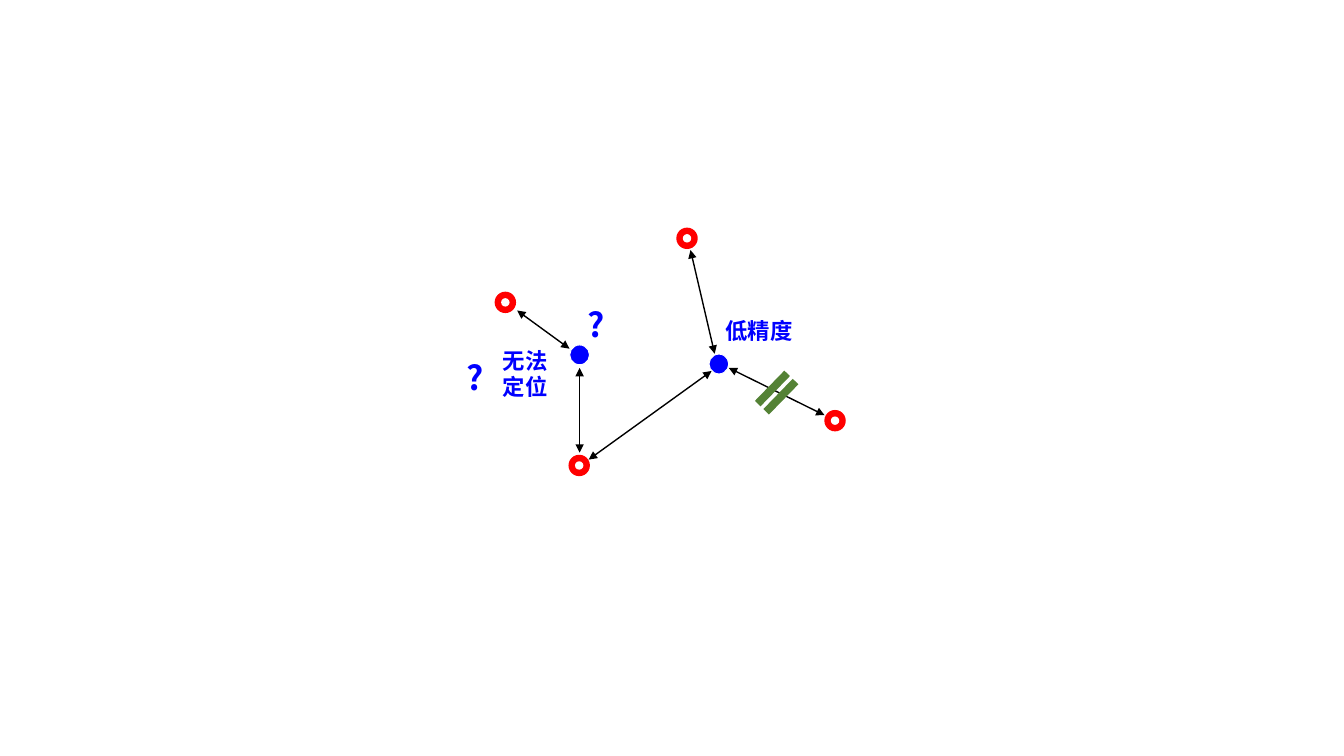
import pptx
import pptx.util
import pptx.dml.color
import pptx.enum.shapes
import pptx.enum.text
import pptx.oxml
import pptx.oxml.ns

Pt = pptx.util.Pt
SHAPE = pptx.enum.shapes.MSO_SHAPE
FONT = "Noto Sans CJK SC"
COLORS = {
    "anchor": "FF0000",
    "hole": "FFFFFF",
    "target": "0000FF",
    "target_line": "FFFFFF",
    "link": "000000",
    "block": "548235",
    "label": "0000FF",
}

# Positions in points, relative to the top left of the diagram
ANCHORS = [(272.5, 156.5), (37, 72), (89.75, 188.5), (166.75, 26.25)]
TARGETS = [(90, 109.5), (189.5, 116)]
LINKS = [
    ((184.3, 121), (96.5, 184.3)),
    ((265, 152.6), (196.6, 118.8)),
    ((169.2, 34.6), (186.5, 108.7)),
    ((45.4, 77.8), (82.8, 105.1)),
    ((90, 118.8), (90, 179.3)),
]
LABELS = [
    ("?", 24, (2.2, 107.3, 26.6, 36.7)),
    ("?", 24, (88.6, 69.8, 26.6, 36.7)),
    ("低精度", 16, (187.2, 79.2, 63.4, 26.6)),
    ("无法\n定位", 16, (28.1, 100.1, 47.5, 46)),
]


def color(name):
    return pptx.dml.color.RGBColor.from_string(COLORS[name])


def add_centered(shapes, kind, center, width, height, fill, line=None):
    left, top = center[0] - width / 2, center[1] - height / 2
    shape = shapes.add_shape(kind, Pt(left), Pt(top), Pt(width), Pt(height))
    shape.shadow.inherit = False
    shape.fill.solid()
    shape.fill.fore_color.rgb = color(fill)
    if line:
        shape.line.color.rgb = color(line)
        shape.line.width = Pt(0.75)
    else:
        shape.line.fill.background()
    return shape


def add_link(shapes, start, end):
    connector = shapes.add_connector(
        pptx.enum.shapes.MSO_CONNECTOR.STRAIGHT, *map(Pt, (*start, *end)))
    connector.line.color.rgb = color("link")
    connector.line.width = Pt(1)
    line = connector.line._get_or_add_ln()
    for tag in ("a:headEnd", "a:tailEnd"):
        arrow = pptx.oxml.ns.qn(tag)
        line.append(line.makeelement(arrow, {"type": "triangle"}))
    properties = connector._element.spPr
    properties.append(properties.makeelement(pptx.oxml.ns.qn("a:effectLst"), {}))


def add_label(slide, text, size, box):
    text_box = slide.shapes.add_textbox(*map(Pt, box))
    frame = text_box.text_frame
    frame.word_wrap = False
    frame.auto_size = pptx.enum.text.MSO_AUTO_SIZE.SHAPE_TO_FIT_TEXT
    frame.text = text
    for paragraph in frame.paragraphs:
        for run in paragraph.runs:
            run.font.name = FONT
            run.font.size = Pt(size)
            run.font.bold = True
            run.font.color.rgb = color("label")
            properties = run.font._element
            properties.append(properties.makeelement(
                pptx.oxml.ns.qn("a:ea"), {"typeface": FONT}))


def add_network(slide, left, top):
    def place(point):
        return left + point[0], top + point[1]

    shapes = slide.shapes.add_group_shape().shapes

    # Anchor rings and target dots
    for anchor in ANCHORS:
        add_centered(shapes, SHAPE.OVAL, place(anchor), 15.3, 15.3, "anchor")
        add_centered(shapes, SHAPE.OVAL, place(anchor), 6, 6, "hole")
    for target in TARGETS:
        add_centered(shapes, SHAPE.OVAL, place(target), 14.2, 14.2,
                     "target", "target_line")

    # Links between nodes
    for start, end in LINKS:
        add_link(shapes, place(start), place(end))

    # Blocked link mark
    block = add_centered(slide.shapes, SHAPE.MATH_EQUAL, place((230.8, 136.4)),
                         41, 23.8, "block")
    block.rotation = 314.2

    # Labels
    for text, size, (x, y, width, height) in LABELS:
        add_label(slide, text, size, (*place((x, y)), width, height))


def main():
    presentation = pptx.Presentation()
    presentation.slide_width = Pt(960)
    presentation.slide_height = Pt(540)
    slide = presentation.slides.add_slide(presentation.slide_layouts[6])
    add_network(slide, 324, 144)
    presentation.save("out.pptx")


if __name__ == "__main__":
    main()
